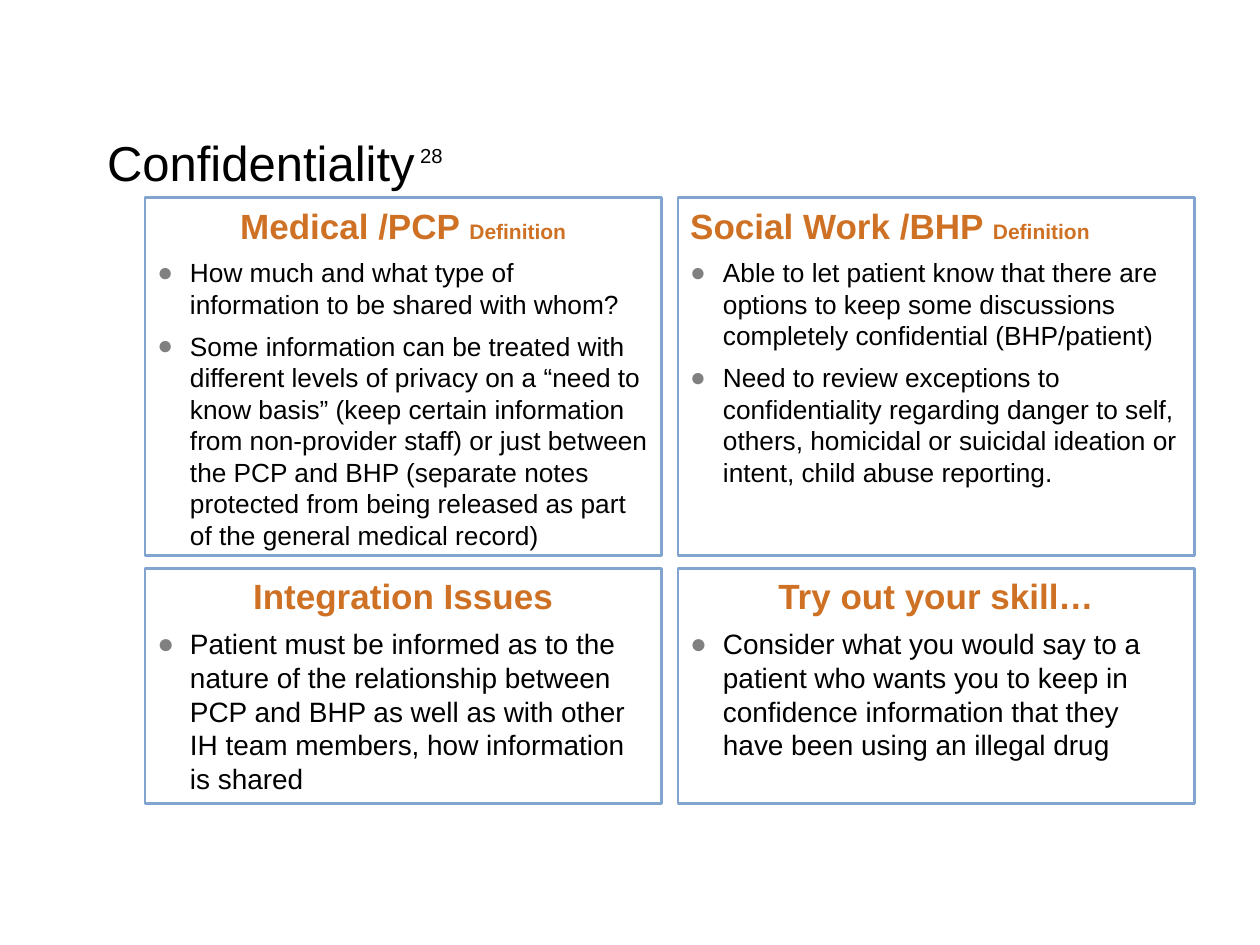
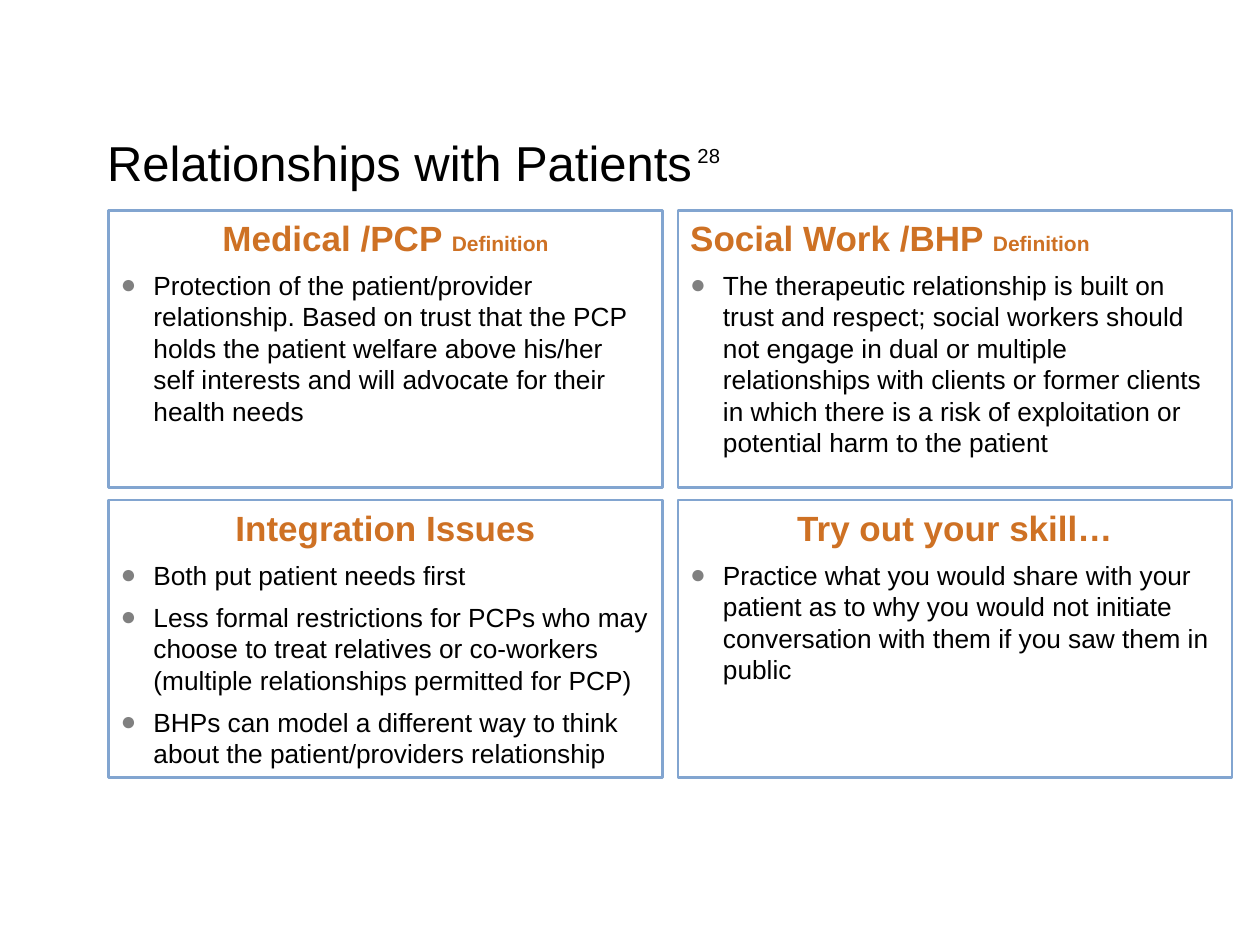
from lxml.etree import SubElement
from pptx import Presentation
from pptx.dml.color import RGBColor
from pptx.enum.shapes import MSO_SHAPE as Shape
from pptx.enum.text import MSO_ANCHOR as Anchor, PP_ALIGN as Align
from pptx.oxml.ns import qn
from pptx.util import Inches, Pt

# Shared style
FONT = "Arial"
BLACK, ORANGE, BLUE, GRAY = "000000", "CE7124", "82A5D0", "808080"
TITLE_ONLY = 5
RIGHT_COLUMN, ROW_GAP = 5.38, 0.1

# Quadrant headings: main words, small words, alignment
HEADINGS = [
    ("Medical /PCP ", "Definition", Align.CENTER),
    ("Social Work /BHP ", "Definition", Align.LEFT),
    ("Integration Issues", "", Align.CENTER),
    ("Try out your skill…", "", Align.CENTER),
]

# Each topic: title, grid left and top, box width, row heights, point sizes by row, bullets
TOPICS = [
    ("Confidentiality", 1.15, 1.57, 4.1, (2.84, 1.87), (15, 16), [
        ["How much and what type of information to be shared with whom?",
         "Some information can be treated with different levels of privacy on a “need to "
         "know basis” (keep certain information from non-provider staff) or just between "
         "the PCP and BHP (separate notes protected from being released as part of the "
         "general medical record)"],
        ["Able to let patient know that there are options to keep some discussions "
         "completely confidential (BHP/patient)",
         "Need to review exceptions to confidentiality regarding danger to self, others, "
         "homicidal or suicidal ideation or intent, child abuse reporting."],
        ["Patient must be informed as to the nature of the relationship between PCP and BHP "
         "as well as with other IH team members, how information is shared"],
        ["Consider what you would say to a patient who wants you to keep in confidence "
         "information that they have been using an illegal drug"],
    ]),
    ("Relationships with Patients", 0.86, 1.67, 4.4, (2.2, 2.2), (15, 15), [
        ["Protection of the patient/provider relationship. Based on trust that the PCP holds "
         "the patient welfare above his/her self interests and will advocate for their "
         "health needs"],
        ["The therapeutic relationship is built on trust and respect; social workers should "
         "not engage in dual or multiple relationships with clients or former clients in "
         "which there is a risk of exploitation or potential harm to the patient"],
        ["Both put patient needs first",
         "Less formal restrictions for PCPs who may choose to treat relatives or co-workers "
         "(multiple relationships permitted for PCP)",
         "BHPs can model a different way to think about the patient/providers relationship"],
        ["Practice what you would share with your patient as to why you would not initiate "
         "conversation with them if you saw them in public"],
    ]),
]


def rgb(code):
    return RGBColor.from_string(code)


def write(paragraph, text, size, color=BLACK, bold=False, align=Align.LEFT,
          before=6, bullet=False, raised=0):
    """Add a run to the paragraph and format both."""
    paragraph.alignment = align
    paragraph.space_before = Pt(before)
    paragraph.line_spacing = 1.0
    run = paragraph.add_run()
    run.text = text
    run.font.name, run.font.size, run.font.bold = FONT, Pt(size), bold
    run.font.color.rgb = rgb(color)
    if raised:
        run.font._element.set("baseline", str(raised * 1000))
    if bullet:
        props = paragraph._p.get_or_add_pPr()
        props.set("marL", str(Inches(0.26)))
        props.set("indent", str(-Inches(0.26)))
        SubElement(SubElement(props, qn("a:buClr")), qn("a:srgbClr"), val=GRAY)
        SubElement(props, qn("a:buFont"), typeface=FONT)
        SubElement(props, qn("a:buChar"), char="●")


deck = Presentation()
deck.slide_width, deck.slide_height = Inches(10), Inches(7.5)

for topic, grid_left, grid_top, width, heights, sizes, quadrants in TOPICS:
    slide = deck.slides.add_slide(deck.slide_layouts[TITLE_ONLY])

    # Title with its raised reference number
    title = slide.shapes.title
    title.left, title.top = Inches(0.75), Inches(1)
    title.width, title.height = Inches(8.75), Inches(0.92)
    title.text_frame.vertical_anchor = Anchor.TOP
    title.text_frame.margin_top = Inches(0.05)
    title_line = title.text_frame.paragraphs[0]
    write(title_line, topic, 28, before=0)
    write(title_line, " 28", 20, before=0, raised=50)

    # Two by two grid of quadrants
    for index, (bullets, (heading, note, align)) in enumerate(zip(quadrants, HEADINGS)):
        row, column = divmod(index, 2)
        left = (grid_left, RIGHT_COLUMN)[column]
        top = grid_top + row * (heights[0] + ROW_GAP)
        quadrant = slide.shapes.add_shape(
            Shape.RECTANGLE, Inches(left), Inches(top), Inches(width), Inches(heights[row]))
        quadrant.shadow.inherit = False
        quadrant.fill.background()
        quadrant.line.color.rgb = rgb(BLUE)
        quadrant.line.width = Pt(1.5)

        frame = quadrant.text_frame
        frame.word_wrap = True
        frame.vertical_anchor = Anchor.TOP
        frame.margin_top = Inches(0.05)
        write(frame.paragraphs[0], heading, 20, ORANGE, bold=True, align=align)
        if note:
            write(frame.paragraphs[0], note, 12, ORANGE, bold=True, align=align)
        for bullet_text in bullets:
            write(frame.add_paragraph(), bullet_text, sizes[row], bullet=True)

deck.save("out.pptx")
